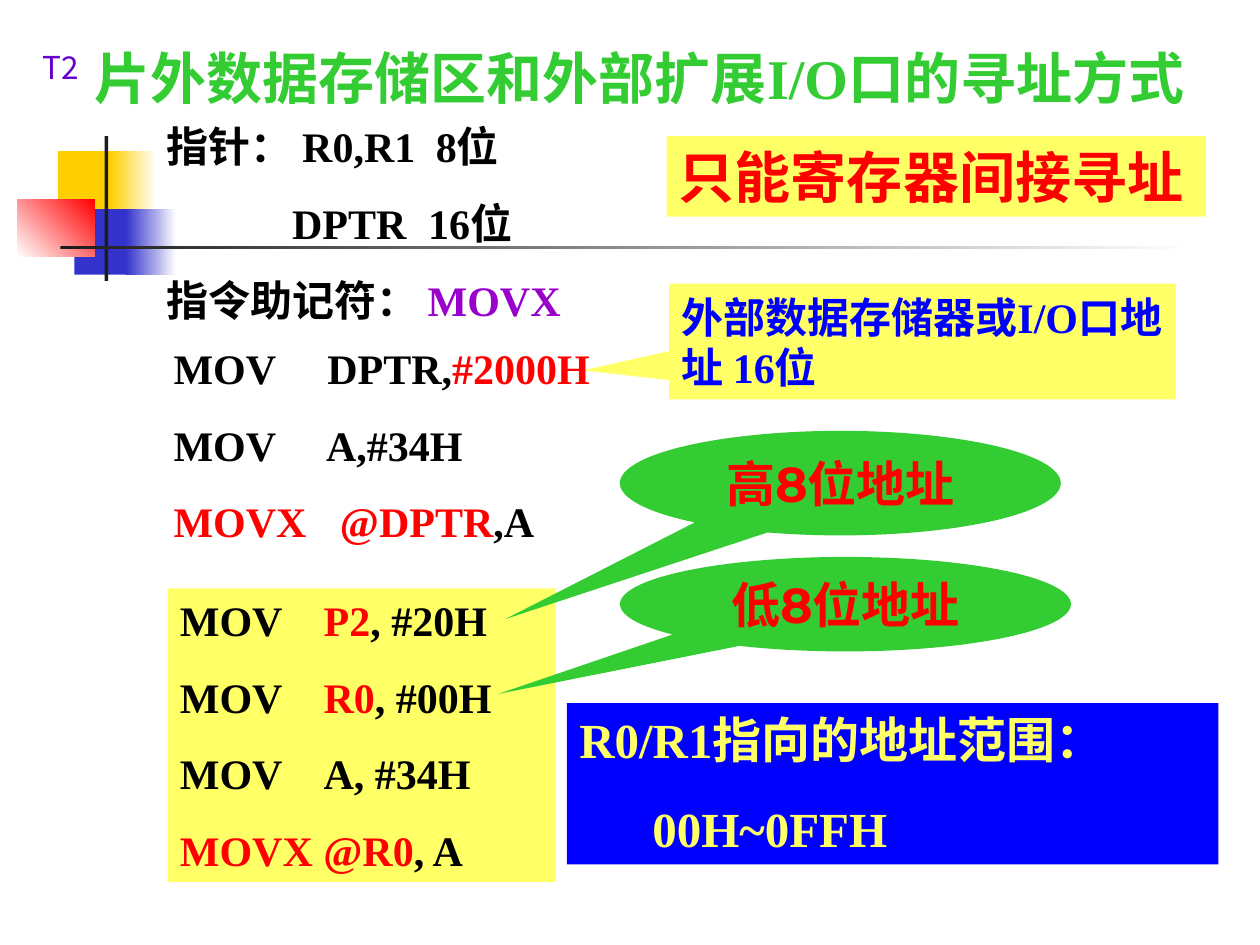
from dataclasses import dataclass
from typing import NamedTuple

from lxml import etree
from pptx import Presentation
from pptx.dml.color import RGBColor
from pptx.enum.shapes import MSO_SHAPE
from pptx.enum.text import MSO_ANCHOR, PP_ALIGN
from pptx.oxml.ns import qn
from pptx.util import Inches, Pt

RECTANGLE = MSO_SHAPE.RECTANGLE
BOX_CALLOUT = MSO_SHAPE.RECTANGULAR_CALLOUT
OVAL_CALLOUT = MSO_SHAPE.OVAL_CALLOUT
TOP, MIDDLE = MSO_ANCHOR.TOP, MSO_ANCHOR.MIDDLE
LEFT, CENTER = PP_ALIGN.LEFT, PP_ALIGN.CENTER

COLUMNS, ROWS = 100, 75
UNIT = Inches(10) // COLUMNS  # one grid column, equal to one grid row

SANS, SERIF, CJK = "Montserrat", "Times New Roman", "Noto Sans CJK SC"
COLORS = {
    "white": "FFFFFF", "black": "000000", "ink": "1C1C1C",
    "gold": "FFCF01", "indigo": "3333CC", "red": "FF0000",
    "green": "33CC33", "yellow": "FFFF66", "blue": "0000FF",
    "purple": "9900CC", "violet": "6600CC",
}


class Box(NamedTuple):
    """A rectangle in grid columns and rows."""
    left: float
    top: float
    width: float
    height: float

    def inner(self, column, row, width, height):
        return Box(self.left + column, self.top + row, width, height)

    def lengths(self):
        return [round(value * UNIT) for value in self]


@dataclass
class Line:
    """One paragraph: (text, colour) pieces, tab stops and indent in columns."""
    pieces: list
    tabs: tuple = ()
    indent: float = 0


def rgb(name):
    return RGBColor.from_string(COLORS[name])


def add_block(page, box, fill, fade_to=None, angle=0, kind=RECTANGLE, tail=None):
    """Add a borderless shape, optionally with a gradient or a callout tail."""
    block = page.shapes.add_shape(kind, *box.lengths())
    block.shadow.inherit = False
    block.line.fill.background()
    if fade_to:
        block.fill.gradient()
        block.fill.gradient_angle = angle
        for stop, name in zip(block.fill.gradient_stops, (fill, fade_to)):
            stop.color.rgb = rgb(name)
    else:
        block.fill.solid()
        block.fill.fore_color.rgb = rgb(fill)
    for index, share in enumerate(tail or ()):
        block.adjustments[index] = share
    return block


def add_label(page, box):
    return page.shapes.add_textbox(*box.lengths())


def add_tabs(para, columns):
    tab_list = etree.SubElement(para._p.get_or_add_pPr(), qn("a:tabLst"))
    for column in columns:
        etree.SubElement(tab_list, qn("a:tab"), pos=str(round(column * UNIT)), algn="l")


def add_span(para, text, color, size, font, bold):
    span = para.add_run()
    span.text = text
    span.font.size = Pt(size)
    span.font.bold = bold
    span.font.name = font
    span.font.color.rgb = rgb(color)
    latin = span._r.get_or_add_rPr().find(qn("a:latin"))
    latin.addnext(etree.Element(qn("a:ea"), typeface=CJK))


def write(shape, lines, size, font=SERIF, gap=0, align=LEFT, anchor=TOP,
          bold=True, wrap=True):
    """Fill a shape; a piece may name its own font as a third item."""
    frame = shape.text_frame
    frame.word_wrap = wrap
    frame.vertical_anchor = anchor
    for index, line in enumerate(lines):
        para = frame.add_paragraph() if index else frame.paragraphs[0]
        para.alignment = align
        if index and gap:
            para.space_before = Pt(gap)
        if line.indent:
            properties = para._p.get_or_add_pPr()
            properties.set("marL", str(round(line.indent * UNIT)))
            properties.set("indent", "0")
        if line.tabs:
            add_tabs(para, line.tabs)
        for text, color, *own_font in line.pieces:
            add_span(para, text, color, size, own_font[0] if own_font else font, bold)


def draw_ornament(page, box):
    """Coloured squares behind a crossing pair of bars."""
    add_block(page, box.inner(3.2, 1.2, 4.8, 5.2), "gold")
    add_block(page, box.inner(7.4, 1.2, 3.6, 5.2), "gold", "white")
    add_block(page, box.inner(4.5, 5.8, 4.6, 5.2), "indigo")
    add_block(page, box.inner(8.6, 5.8, 4, 5.2), "indigo", "white")
    add_block(page, box.inner(0, 5, 6.1, 4.6), "white", "red", angle=45)
    add_block(page, box.inner(6.9, 0, 0.3, box.height), "ink")
    add_block(page, box.inner(3.4, 8.7, 90, 0.3), "ink", "white")


def draw_heading(page, box):
    title = Line([("片外数据存储区和外部扩展", "green", SANS), ("I/O口", "green"),
                  ("的寻址方式", "green", SANS)], indent=4.1)
    write(add_label(page, box), [title], 32)
    tag = add_label(page, box.inner(0, 0.3, 5, 6.7))
    write(tag, [Line([("T2", "violet")])], 18, font=CJK, bold=False, wrap=False)


def draw_pointers(page, box):
    write(add_label(page, box), [
        Line([("指针：", "black", SANS), ("\tR0,R1\t8位", "black")], (10.8, 21.4)),
        Line([("\tDPTR\t16位", "black")], (10, 20.8)),
        Line([("指令助记符： ", "black"), ("MOVX", "purple")]),
    ], 24, gap=15)


def draw_wide_code(page, box):
    """Code that addresses through the 16-bit pointer."""
    write(add_label(page, box), [
        Line([("MOV\tDPTR,", "black"), ("#2000H", "red")], (12.2,)),
        Line([("MOV\tA,#34H", "black")], (12.1,)),
        Line([("MOVX\t@DPTR", "red"), (",A", "black")], (13.2,)),
    ], 24, gap=15)


def draw_narrow_code(page, box):
    """Code that addresses through an 8-bit pointer and a port."""
    stops = (11.4,)
    write(add_block(page, box, "yellow"), [
        Line([("MOV", "black"), ("\tP2", "red"), (", #20H", "black")], stops),
        Line([("MOV\t", "black"), ("R0", "red"), (", #00H", "black")], stops),
        Line([("MOV\tA, #34H", "black")], stops),
        Line([("MOVX @R0", "red"), (", A", "black")]),
    ], 24, gap=15)


def draw_access_notes(page, box):
    """The rule on addressing, with the note on 16-bit addresses below it."""
    rule = add_block(page, box.inner(0, 0, box.width, 6.4), "yellow")
    write(rule, [Line([("只能寄存器间接寻址", "red")])], 32, font=SANS)
    note = add_block(page, box.inner(0.2, 11.7, 40.2, 9.2), "yellow",
                     kind=BOX_CALLOUT, tail=(-0.67, 0.25))
    write(note, [Line([("外部数据存储器或I/O口地址 16位", "blue")])], 24, anchor=MIDDLE)


def draw_address_halves(page, box):
    halves = (("高8位地址", 0, 35, 8.3, (-0.76, 1.3)),
              ("低8位地址", 10, 35.8, 7.5, (-0.77, 0.95)))
    for text, row, width, height, tail in halves:
        bubble = add_block(page, box.inner(0, row, width, height), "green",
                           kind=OVAL_CALLOUT, tail=tail)
        write(bubble, [Line([(text, "red")])], 28, font=SANS,
              align=CENTER, anchor=MIDDLE)


def draw_range(page, box):
    write(add_block(page, box, "blue"), [
        Line([("R0/R1指向的地址范围：", "yellow")]),
        Line([("00H~0FFH", "yellow")], indent=5.8),
    ], 28, gap=17.5)


def main():
    deck = Presentation()
    deck.slide_width, deck.slide_height = COLUMNS * UNIT, ROWS * UNIT
    page = deck.slides.add_slide(deck.slide_layouts[6])
    draw_ornament(page, Box(1.4, 10.8, 93.4, 11.5))
    draw_heading(page, Box(2.4, 3, 95.7, 6.4))
    draw_narrow_code(page, Box(13.3, 46.7, 30.8, 23.3))
    draw_access_notes(page, Box(52.9, 10.8, 42.8, 20.9))
    draw_address_halves(page, Box(49.2, 34.2, 35.8, 17.5))
    draw_range(page, Box(45, 55.8, 51.7, 12.8))
    draw_pointers(page, Box(12.2, 9.1, 37.8, 17.2))
    draw_wide_code(page, Box(12.8, 26.7, 36.4, 17.2))
    deck.save("out.pptx")


if __name__ == "__main__":
    main()
